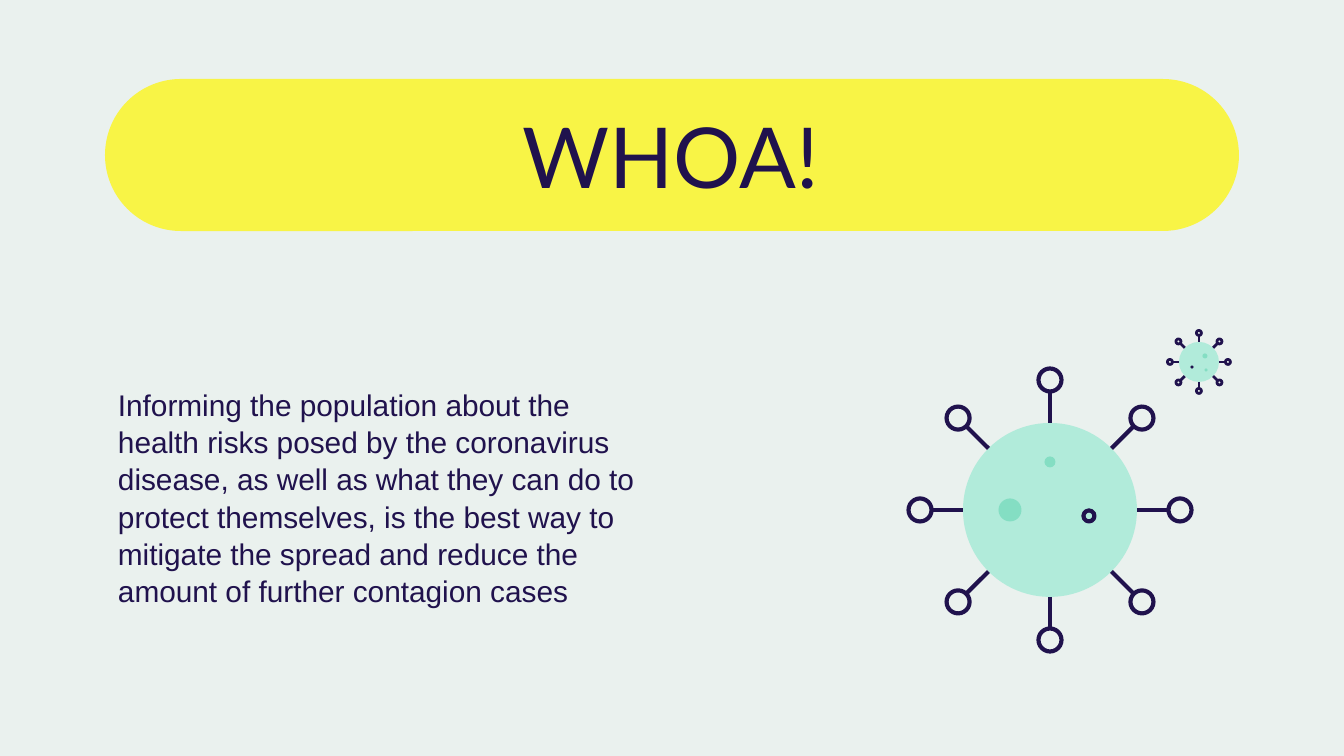
from math import cos, pi, sin

from lxml.etree import SubElement
from pptx import Presentation
from pptx.dml.color import RGBColor
from pptx.enum.shapes import MSO_CONNECTOR, MSO_SHAPE
from pptx.enum.text import MSO_ANCHOR, PP_ALIGN
from pptx.oxml.ns import qn
from pptx.util import Pt

EMU_PER_PX = 914400 / 134.4
COLORS = {
    "background": "EAF1EE",
    "banner": "F8F446",
    "ink": "20124D",
    "body": "B1EBDA",
    "spot": "84DEC3",
}


def px(length):
    return round(length * EMU_PER_PX)


def color(name):
    return RGBColor.from_string(COLORS[name])


class SlideBuilder:
    def __init__(self, slide):
        self.slide = slide
        self.slide.background.fill.solid()
        self.slide.background.fill.fore_color.rgb = color("background")

    def shape(self, shapes, kind, left, top, width, height, fill=None, line_width=None):
        shape = shapes.add_shape(kind, px(left), px(top), px(width), px(height))
        shape.shadow.inherit = False
        if fill:
            shape.fill.solid()
            shape.fill.fore_color.rgb = color(fill)
        else:
            shape.fill.background()
        if line_width:
            shape.line.color.rgb = color("ink")
            shape.line.width = Pt(line_width)
        else:
            shape.line.fill.background()
        return shape

    def circle(self, shapes, x, y, diameter, fill=None, line_width=None):
        return self.shape(shapes, MSO_SHAPE.OVAL, x - diameter / 2, y - diameter / 2,
                          diameter, diameter, fill, line_width)

    def line(self, shapes, x1, y1, x2, y2, line_width):
        connector = shapes.add_connector(
            MSO_CONNECTOR.STRAIGHT, px(x1), px(y1), px(x2), px(y2))
        connector.line.color.rgb = color("ink")
        connector.line.width = Pt(line_width)
        SubElement(connector._element.spPr, qn("a:effectLst"))

    def text(self, left, top, width, height, words, font, size, insets,
             align=PP_ALIGN.LEFT, spacing=None):
        box = self.slide.shapes.add_textbox(px(left), px(top), px(width), px(height))
        frame = box.text_frame
        frame.word_wrap = True
        frame.vertical_anchor = MSO_ANCHOR.MIDDLE
        frame.margin_left = frame.margin_right = px(13)
        frame.margin_top, frame.margin_bottom = (px(inset) for inset in insets)
        paragraph = frame.paragraphs[0]
        paragraph.alignment = align
        if spacing:
            paragraph.line_spacing = spacing
        run = paragraph.add_run()
        run.text = words
        run.font.name = font
        run.font.size = Pt(size)
        run.font.color.rgb = color("ink")

    def virus(self, x, y, radius, spike_end, tip_center, tip_diameter, line_width, spots):
        shapes = self.slide.shapes.add_group_shape().shapes
        self.circle(shapes, x, y, 2 * radius, "body")
        # Eight spikes, one every 45 degrees
        for step in range(8):
            dx, dy = cos(step * pi / 4), sin(step * pi / 4)
            self.line(shapes, x + radius * dx, y + radius * dy,
                      x + spike_end * dx, y + spike_end * dy, line_width)
            self.circle(shapes, x + tip_center * dx, y + tip_center * dy,
                        tip_diameter, line_width=line_width)
        for dx, dy, diameter, fill, outline in spots:
            self.circle(shapes, x + dx, y + dy, diameter, fill, outline)


def main():
    presentation = Presentation()
    presentation.slide_width, presentation.slide_height = px(1344), px(756)
    builder = SlideBuilder(presentation.slides.add_slide(presentation.slide_layouts[6]))

    # Title banner
    banner = builder.shape(builder.slide.shapes, MSO_SHAPE.ROUNDED_RECTANGLE,
                           105, 79, 1134, 152, "banner")
    banner.adjustments[0] = 0.5
    builder.text(450, 85, 442, 140, "WHOA!", "Lato", 45, (13, 13), PP_ALIGN.CENTER)

    # Message
    builder.text(105, 310, 567, 347,
                 "Informing the population about the health risks posed by the "
                 "coronavirus disease, as well as what they can do to protect "
                 "themselves, is the best way to mitigate the spread and reduce "
                 "the amount of further contagion cases",
                 "Arial", 16, (27, 0), spacing=1.04)

    # Large and small virus; spots are offsets from the centre
    builder.virus(1050, 510, 87, 118, 130, 23, 2.25, [
        (-40, 0, 23, "spot", None),
        (39, 6, 11, None, 2.25),
        (0, -48, 11, "spot", None),
    ])
    builder.virus(1199, 362, 20, 27, 29, 5, 1.5, [
        (6, -6, 5, "spot", None),
        (-7, 5, 3, "ink", None),
        (7, 8, 3, "spot", None),
    ])

    presentation.save("out.pptx")


if __name__ == "__main__":
    main()
